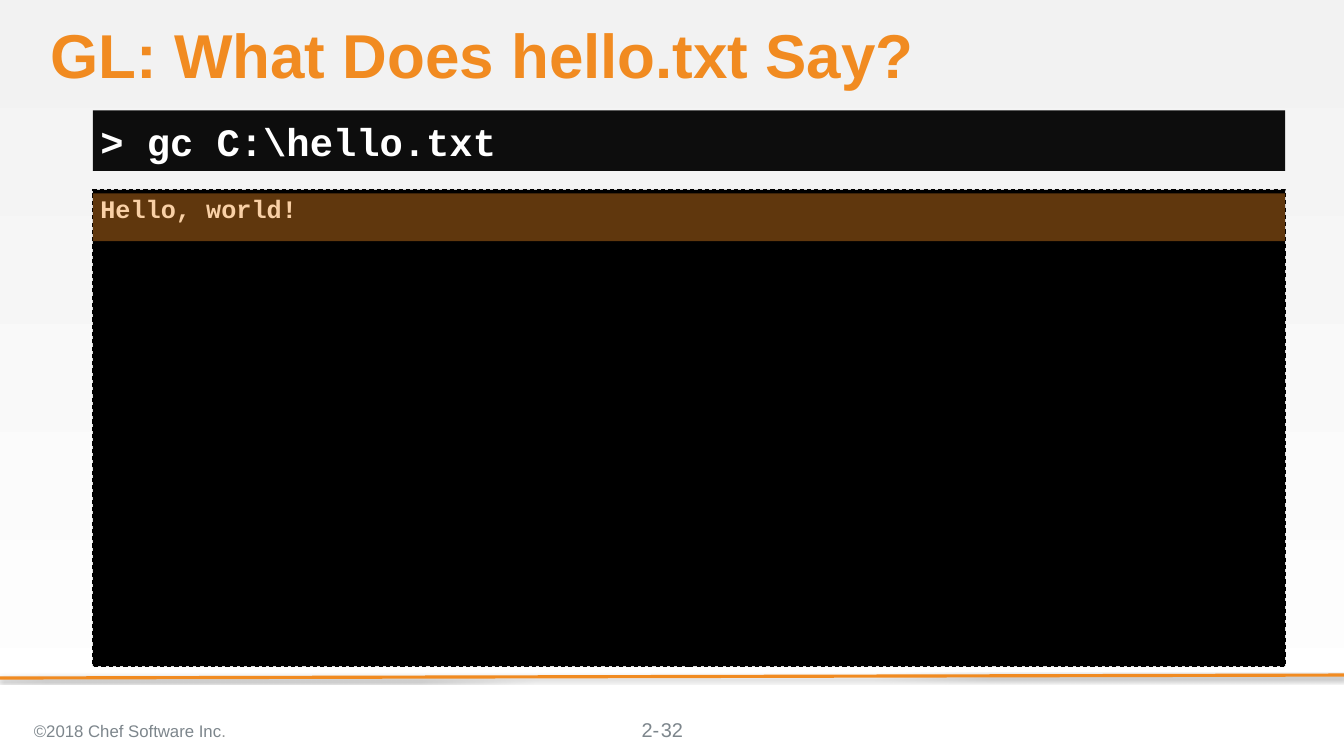
from dataclasses import dataclass
from typing import Optional

from lxml.etree import SubElement
from pptx import Presentation
from pptx.dml.color import RGBColor
from pptx.enum.dml import MSO_LINE
from pptx.enum.shapes import MSO_CONNECTOR, MSO_SHAPE
from pptx.enum.text import MSO_ANCHOR, MSO_AUTO_SIZE, PP_ALIGN
from pptx.oxml.ns import qn
from pptx.util import Cm, Pt

COLORS = {
    "orange": "F18B21",
    "black": "000000",
    "prompt": "0D0D0D",
    "white": "FFFFFF",
    "mist": "F2F2F2",
    "grey": "7D868C",
    "stop": "929494",
}
PANEL_LEFT, PANEL_WIDTH = 3.12, 40.06
INSET = (0.25, 0.13, 0.25, 0.13)
NO_INSET = (0, 0, 0, 0)


@dataclass(frozen=True)
class Style:
    size: float
    color: str
    font: str = "Arial"
    bold: bool = False
    align: PP_ALIGN = PP_ALIGN.LEFT
    anchor: MSO_ANCHOR = MSO_ANCHOR.TOP
    inset: tuple = INSET
    line_spacing: Optional[float] = None


@dataclass(frozen=True)
class Panel:
    top: float
    height: float
    fill: str
    text: str = ""
    style: Optional[Style] = None
    dashed: bool = False
    opacity: Optional[int] = None


@dataclass(frozen=True)
class Label:
    box: tuple
    runs: tuple
    style: Style


TITLE = Style(59, "orange", bold=True, inset=NO_INSET, line_spacing=0.9)
COMMAND = Style(37, "white", "Courier New", True,
                anchor=MSO_ANCHOR.MIDDLE, inset=(0.25, 0, 0, 0))
OUTPUT = Style(24, "white", "Courier New", True)
COPYRIGHT = Style(16, "grey", anchor=MSO_ANCHOR.MIDDLE)
CHAPTER = Style(19, "grey", inset=NO_INSET)
PAGE = Style(19, "grey", align=PP_ALIGN.CENTER, anchor=MSO_ANCHOR.MIDDLE)

PANELS = [
    Panel(6.38, 16, "black", "Hello, world!", OUTPUT, dashed=True),
    Panel(3.71, 2.03, "prompt", "> gc C:\\hello.txt", COMMAND),
    Panel(6.5, 1.6, "orange", opacity=40),
]
LABELS = [
    Label((21.56, 24.1, 2.03, 0.81), (("2-", "grey"),), CHAPTER),
    Label((0.89, 23.83, 15.77, 1.42),
          (("©2018 Chef Software Inc", "grey"), (".", "stop")), COPYRIGHT),
    Label((17.5, 23.83, 10.16, 1.35), (("32", "grey"),), PAGE),
]


def rgb(name: str) -> RGBColor:
    return RGBColor.from_string(COLORS[name])


def write(shape, runs: tuple, style: Style) -> None:
    frame = shape.text_frame
    left, top, right, bottom = (Cm(side) for side in style.inset)
    frame_format = {
        "word_wrap": True,
        "auto_size": MSO_AUTO_SIZE.NONE,
        "vertical_anchor": style.anchor,
        "margin_left": left,
        "margin_top": top,
        "margin_right": right,
        "margin_bottom": bottom,
    }
    for name, value in frame_format.items():
        setattr(frame, name, value)
    paragraph = frame.paragraphs[0]
    paragraph.alignment = style.align
    paragraph.line_spacing = style.line_spacing
    font_format = {"name": style.font, "size": Pt(style.size), "bold": style.bold}
    for text, color in runs:
        run = paragraph.add_run()
        run.text = text
        for name, value in font_format.items():
            setattr(run.font, name, value)
        run.font.color.rgb = rgb(color)


def draw_panel(slide, panel: Panel) -> None:
    shape = slide.shapes.add_shape(
        MSO_SHAPE.RECTANGLE, Cm(PANEL_LEFT), Cm(panel.top),
        Cm(PANEL_WIDTH), Cm(panel.height))
    shape.shadow.inherit = False
    shape.fill.solid()
    shape.fill.fore_color.rgb = rgb(panel.fill)
    if panel.opacity is not None:
        color = shape._element.spPr.find(f"{qn('a:solidFill')}/{qn('a:srgbClr')}")
        SubElement(color, qn("a:alpha"), val=str(panel.opacity * 1000))
    if panel.dashed:
        shape.line.color.rgb = rgb("black")
        shape.line.width = Pt(1)
        shape.line.dash_style = MSO_LINE.DASH
    else:
        shape.line.fill.background()
    if panel.style:
        write(shape, ((panel.text, panel.style.color),), panel.style)


def draw_label(slide, label: Label) -> None:
    box = slide.shapes.add_textbox(*(Cm(length) for length in label.box))
    write(box, label.runs, label.style)


def draw_footer_rule(slide) -> None:
    rule = slide.shapes.add_connector(
        MSO_CONNECTOR.STRAIGHT, Cm(45.16), Cm(22.68), Cm(0), Cm(22.78))
    rule.line.color.rgb = rgb("orange")
    rule.line.width = Pt(3)
    effects = SubElement(rule._element.spPr, qn("a:effectLst"))
    shadow = SubElement(effects, qn("a:outerShdw"), blurRad=str(Pt(3.1)),
                        dist=str(Pt(1.8)), dir="5400000", rotWithShape="0")
    color = SubElement(shadow, qn("a:srgbClr"), val=COLORS["black"])
    SubElement(color, qn("a:alpha"), val="35000")


def paint_background(slide) -> None:
    fill = slide.background.fill
    fill.gradient()
    fill.gradient_angle = 270
    for stop, position, color in zip(fill.gradient_stops, (0, 1), ("mist", "white")):
        stop.position = position
        stop.color.rgb = rgb(color)


def place_title(slide) -> None:
    title = slide.shapes.title
    place = {"left": 1.7, "top": 0.84, "width": 41.48, "height": 2.31}
    for name, value in place.items():
        setattr(title, name, Cm(value))
    write(title, (("GL: What Does hello.txt Say?", "orange"),), TITLE)


def main() -> None:
    deck = Presentation()
    deck.slide_width, deck.slide_height = Cm(45.16), Cm(25.4)
    slide = deck.slides.add_slide(deck.slide_layouts[5])
    paint_background(slide)
    draw_footer_rule(slide)
    place_title(slide)
    for panel in PANELS:
        draw_panel(slide, panel)
    for label in LABELS:
        draw_label(slide, label)
    deck.save("out.pptx")


if __name__ == "__main__":
    main()
